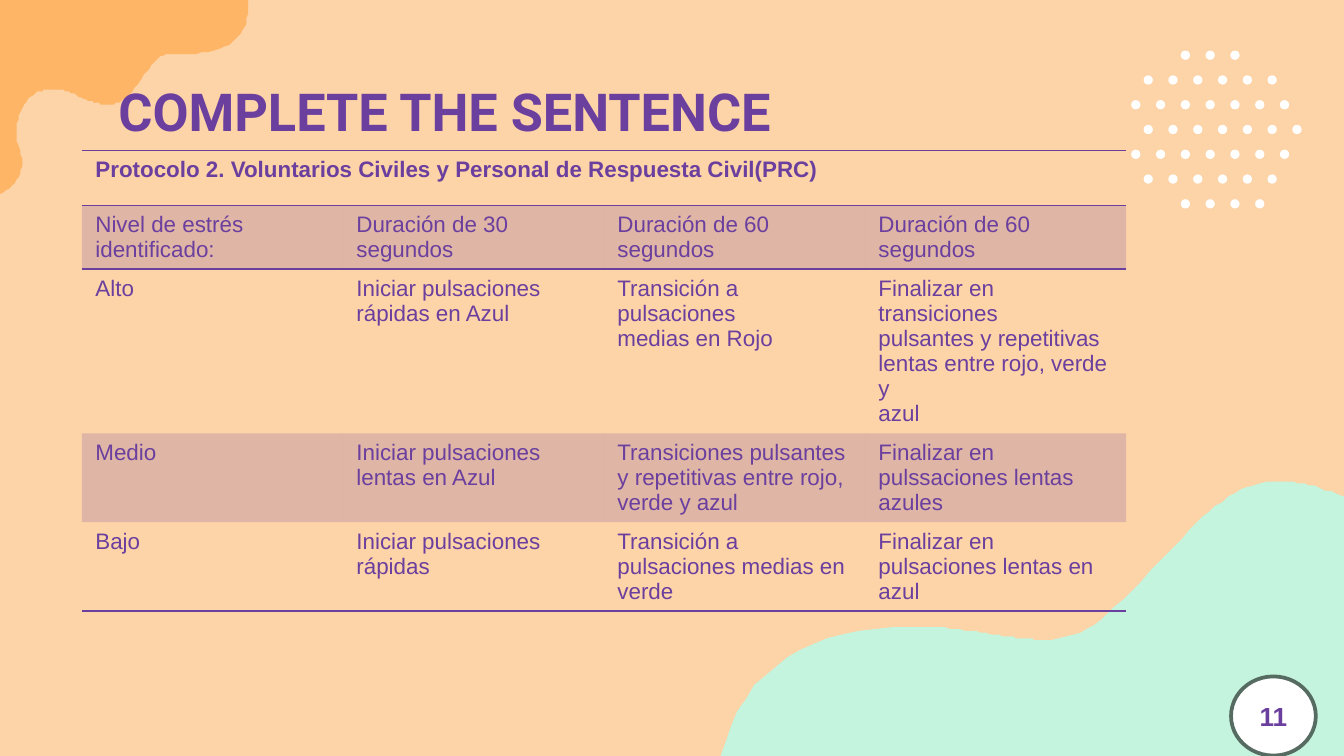
from dataclasses import dataclass

from lxml import etree
from pptx import Presentation
from pptx.dml.color import RGBColor
from pptx.enum import shapes as sh, text as tx
from pptx.oxml.ns import qn
from pptx.util import Pt


@dataclass(frozen=True)
class Theme:
    sand: str = "FDD3A8"
    mint: str = "C4F4DE"
    amber: str = "FFB566"
    white: str = "FFFFFF"
    plum: str = "6B3F9E"
    moss: str = "566B61"
    head: str = "Roboto"
    body: str = "Arial"
    title: int = 28
    cell: int = 12
    badge: int = 14
    tint: int = 20000  # band opacity, 20 %


T = Theme()
PLAIN = "{2D5ABB26-0587-4C30-8999-92F81FD0307C}"  # no style, no grid

# Blob outlines in inches: two-number items are corners, six-number items curves
WAVE = [(9.52, 3.58), (9.26, 3.58, 9.04, 3.73, 8.73, 4.07),
        (8.24, 4.59, 8.1, 4.76, 7.76, 4.76), (7.65, 4.76, 7.53, 4.74, 7.38, 4.72),
        (7.16, 4.68, 6.96, 4.66, 6.77, 4.66), (6.05, 4.66, 5.53, 4.95, 5.36, 5.63),
        (10, 5.63), (10, 3.7), (9.81, 3.62, 9.66, 3.58, 9.52, 3.58)]
SPLASH = [(0, 0), (0, 1.44), (0.12, 1.4, 0.21, 1.27, 0.14, 1.09),
          (0.09, 0.92, 0.15, 0.77, 0.27, 0.69), (0.32, 0.67, 0.36, 0.66, 0.4, 0.66),
          (0.49, 0.66, 0.57, 0.72, 0.68, 0.75), (0.73, 0.77, 0.77, 0.78, 0.81, 0.78),
          (0.89, 0.78, 0.95, 0.73, 1.03, 0.62), (1.16, 0.44, 1.18, 0.4, 1.31, 0.4),
          (1.34, 0.4, 1.37, 0.4, 1.4, 0.4), (1.68, 0.4, 1.87, 0.29, 1.85, 0)]

# First and last half-column of each row of dots
DOTS = [(4, 8), (1, 11), (0, 12), (1, 13), (0, 12), (1, 11), (4, 10)]

HEAD = "Protocolo 2. Voluntarios Civiles y Personal de Respuesta Civil(PRC)"
ROWS = [
    ["Nivel de estrés identificado:", "Duración de 30 segundos",
     "Duración de 60 segundos", "Duración de 60 segundos"],
    ["Alto", "Iniciar pulsaciones rápidas en Azul",
     "Transición a pulsaciones\vmedias en Rojo",
     "Finalizar en transiciones\vpulsantes y repetitivas\v"
     "lentas entre rojo, verde y\vazul"],
    ["Medio", "Iniciar pulsaciones lentas en Azul",
     "Transiciones pulsantes y repetitivas entre rojo, verde y azul",
     "Finalizar en pulssaciones lentas azules"],
    ["Bajo", "Iniciar pulsaciones rápidas",
     "Transición a pulsaciones medias en verde",
     "Finalizar en pulsaciones lentas en azul"],
]
HIGH = [29.5, 34, 88, 47.5, 47.5]


def rgb(code):
    return RGBColor.from_string(code)


def style(para, size, face, bold=False):
    font = para.font
    font.size, font.name, font.bold = Pt(size), face, bold
    font.color.rgb = rgb(T.plum)


def paint(shape, fill):
    shape.shadow.inherit = False
    shape.fill.solid()
    shape.fill.fore_color.rgb = rgb(fill)
    shape.line.fill.background()


def curve(start, bend, steps=16):
    """Points along a cubic curve, after its start."""
    knots = [start, bend[:2], bend[2:4], bend[4:]]
    for i in range(1, steps + 1):
        t = i / steps
        mix = [(1 - t) ** 3, 3 * t * (1 - t) ** 2, 3 * t * t * (1 - t), t ** 3]
        yield tuple(sum(m * k[axis] for m, k in zip(mix, knots)) for axis in (0, 1))


def blob(slide, outline, fill):
    points = [outline[0]]
    for item in outline[1:]:
        points += [item] if len(item) == 2 else curve(points[-1], item)
    pts = [(x * 72, y * 72) for x, y in points]
    form = slide.shapes.build_freeform(*pts[0], scale=Pt(1))
    form.add_line_segments(pts[1:], close=True)
    paint(form.convert_to_shape(), fill)


def dots(slide, left, top, size=5, half=6.64, pitch=13.27):
    for row, (first, last) in enumerate(DOTS):
        for col in range(first, last + 1, 2):
            dot = slide.shapes.add_shape(
                sh.MSO_SHAPE.OVAL, Pt(left + col * half), Pt(top + row * pitch),
                Pt(size), Pt(size))
            paint(dot, T.white)


def title(slide, left, top, width, height):
    box = slide.shapes.title
    box.left, box.top, box.width, box.height = map(Pt, (left, top, width, height))
    frame = box.text_frame
    frame.text = "COMPLETE THE SENTENCE"
    frame.margin_left = frame.margin_right = Pt(7.2)
    frame.margin_top = frame.margin_bottom = Pt(7.2)
    frame.vertical_anchor = tx.MSO_ANCHOR.TOP
    para = frame.paragraphs[0]
    para.alignment = tx.PP_ALIGN.LEFT
    style(para, T.title, T.head, True)


def edge(cell, side):
    """Draw a 1 pt line on one side; side lines go before the cell fill."""
    line = etree.Element(qn("a:" + side), w=str(Pt(1)))
    fill = etree.SubElement(line, qn("a:solidFill"))
    etree.SubElement(fill, qn("a:srgbClr"), val=T.plum)
    props = cell._tc.get_or_add_tcPr()
    props.insert(len(props.findall(qn("a:lnT"))), line)


def write(cell, words, bold=False, band=False):
    cell.text = words
    style(cell.text_frame.paragraphs[0], T.cell, T.body, bold)
    if band:
        cell.fill.solid()
        cell.fill.fore_color.rgb = rgb(T.plum)
        color = cell._tc.tcPr.find(".//" + qn("a:srgbClr"))
        etree.SubElement(color, qn("a:alpha"), val=str(T.tint))
    else:
        cell.fill.background()


def grid(slide, left, top, width):
    cols = len(ROWS[0])
    frame = slide.shapes.add_table(len(HIGH), cols, Pt(left), Pt(top),
                                   Pt(width), Pt(sum(HIGH)))
    table = frame.table
    table.first_row = table.horz_banding = False
    table._tbl.tblPr.find(qn("a:tableStyleId")).text = PLAIN
    for row, high in zip(table.rows, HIGH):
        row.height = Pt(high)
    # Heading across all columns
    table.cell(0, 0).merge(table.cell(0, cols - 1))
    write(table.cell(0, 0), HEAD, bold=True)
    # Shaded and clear rows in turn
    for r, row in enumerate(ROWS, 1):
        for c, words in enumerate(row):
            write(table.cell(r, c), words, band=r % 2 == 1)
    # Rules above and below the heading, and at the foot
    for c in range(cols):
        edge(table.cell(0, c), "lnT")
        edge(table.cell(0, c), "lnB")
        edge(table.cell(1, c), "lnT")
        edge(table.cell(len(ROWS), c), "lnB")


def badge(slide, left, top, width, height):
    disc = slide.shapes.add_shape(sh.MSO_SHAPE.OVAL, *map(Pt, (left, top, width, height)))
    paint(disc, T.white)
    disc.line.color.rgb = rgb(T.moss)
    disc.line.width = Pt(2)
    frame = disc.text_frame
    frame.text = "11"
    frame.vertical_anchor = tx.MSO_ANCHOR.MIDDLE
    para = frame.paragraphs[0]
    para.alignment = tx.PP_ALIGN.CENTER
    style(para, T.badge, T.body, True)


def main():
    deck = Presentation()
    deck.slide_width, deck.slide_height = Pt(720), Pt(405)
    slide = deck.slides.add_slide(deck.slide_layouts[5])
    slide.background.fill.solid()
    slide.background.fill.fore_color.rgb = rgb(T.sand)
    # Backdrop
    blob(slide, WAVE, T.mint)
    blob(slide, SPLASH, T.amber)
    dots(slide, 606, 27.1)
    # Content
    title(slide, 56.2, 35.3, 607.7, 45.4)
    grid(slide, 43.9, 80.6, 559.4)
    badge(slide, 659.5, 362.4, 45.4, 42.4)
    # Keep the title in front of the backdrop
    tree = slide.shapes._spTree
    tree.insert(tree.index(tree[-2]), slide.shapes.title._element)
    deck.save("out.pptx")


if __name__ == "__main__":
    main()
